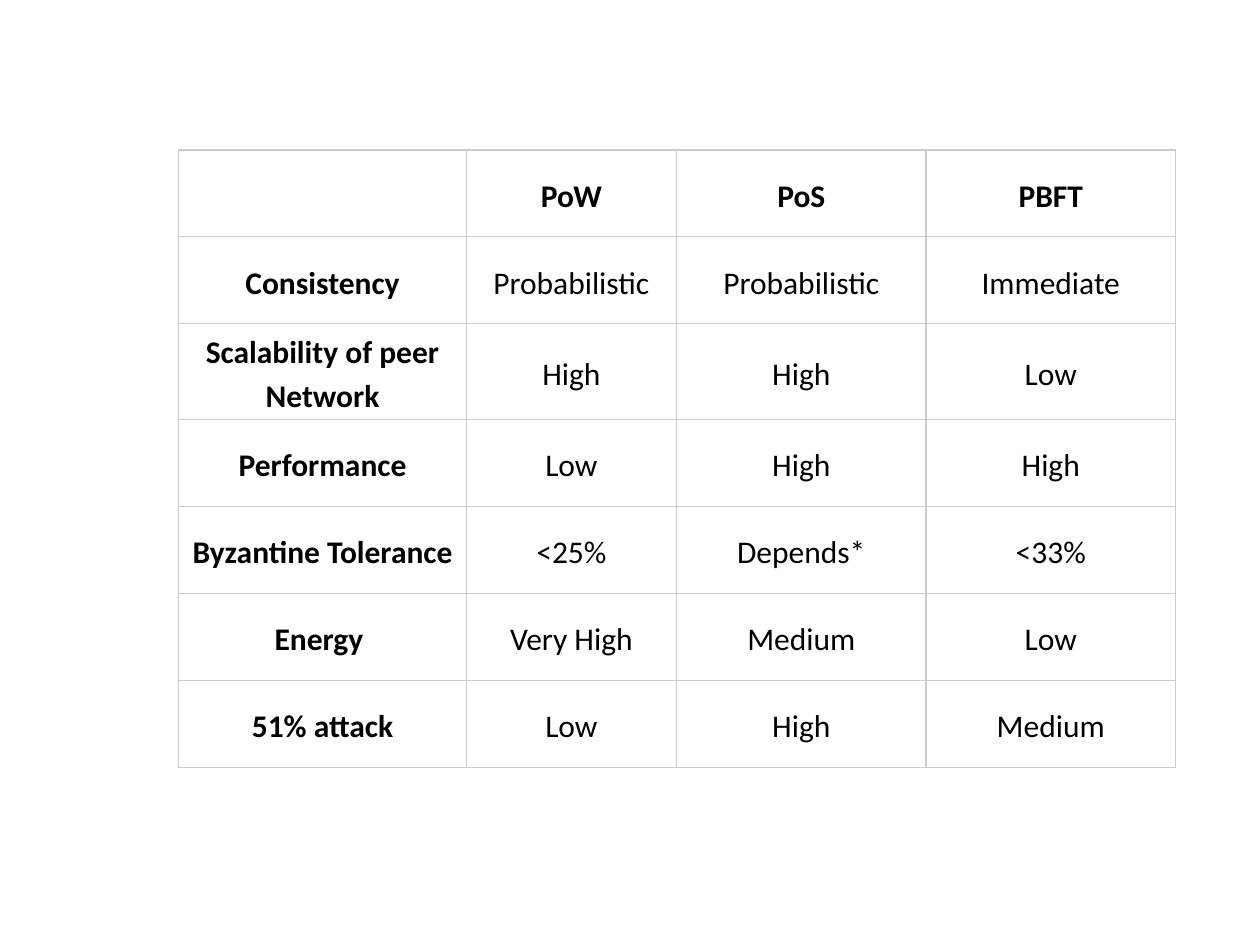
import pptx
import pptx.util
import pptx.dml.color
import pptx.enum.text
import pptx.oxml
import pptx.oxml.ns

Inches = pptx.util.Inches
BLACK = pptx.dml.color.RGBColor(0x00, 0x00, 0x00)
GREY = pptx.dml.color.RGBColor(0xCC, 0xCC, 0xCC)
WIDTHS = [2.28, 1.67, 1.98, 1.98]
HEIGHT = 0.69
ROWS = [
    ["", "PoW", "PoS", "PBFT"],
    ["Consistency", "Probabilistic", "Probabilistic", "Immediate"],
    ["Scalability of peer Network", "High", "High", "Low"],
    ["Performance", "Low", "High", "High"],
    ["Byzantine Tolerance", "<25%", "Depends*", "<33%"],
    ["Energy ", "Very High", "Medium", "Low"],
    ["51% attack", "Low", "High", "Medium"],
]
CELL = {
    "vertical_anchor": pptx.enum.text.MSO_ANCHOR.MIDDLE,
    **{f"margin_{side}": Inches(0.03) for side in ("left", "right", "top", "bottom")},
}
PARA = {"alignment": pptx.enum.text.PP_ALIGN.CENTER, "line_spacing": 1.15}
FONT = {"name": "Calibri", "size": pptx.util.Pt(18)}


def apply(item, values):
    """Set each attribute in values on item."""
    for name, value in values.items():
        setattr(item, name, value)


def border(cell):
    """Draw a thin grey line on all four sides of a cell."""
    props = cell._tc.get_or_add_tcPr()
    for side in "LRTB":
        props.append(pptx.oxml.parse_xml(
            f'<a:ln{side} {pptx.oxml.ns.nsdecls("a")} w="{pptx.util.Pt(0.75)}">'
            f'<a:solidFill><a:srgbClr val="{GREY}"/></a:solidFill></a:ln{side}>'))


def write(cell, text, bold):
    """Fill in and format one cell."""
    apply(cell, CELL)
    border(cell)
    cell.fill.background()
    para = cell.text_frame.paragraphs[0]
    apply(para, PARA)
    if text:
        run = para.add_run()
        run.text = text
        apply(run.font, {**FONT, "bold": bold})
        run.font.color.rgb = BLACK


def add_grid(slide, left, top):
    """Add the comparison table with bold headings."""
    table = slide.shapes.add_table(
        len(ROWS), len(WIDTHS), Inches(left), Inches(top),
        Inches(sum(WIDTHS)), Inches(HEIGHT * len(ROWS))).table
    apply(table, {"first_row": False, "horz_banding": False})
    for col, width in zip(table.columns, WIDTHS):
        col.width = Inches(width)
    for r, texts in enumerate(ROWS):
        table.rows[r].height = Inches(HEIGHT)
        for c, text in enumerate(texts):
            write(table.cell(r, c), text, r == 0 or c == 0)


def main():
    """Build and save the slide."""
    deck = pptx.Presentation()
    apply(deck, {"slide_width": Inches(10), "slide_height": Inches(7.5)})
    slide = deck.slides.add_slide(deck.slide_layouts[6])
    add_grid(slide, 1.42, 1.19)
    deck.save("out.pptx")


if __name__ == "__main__":
    main()
